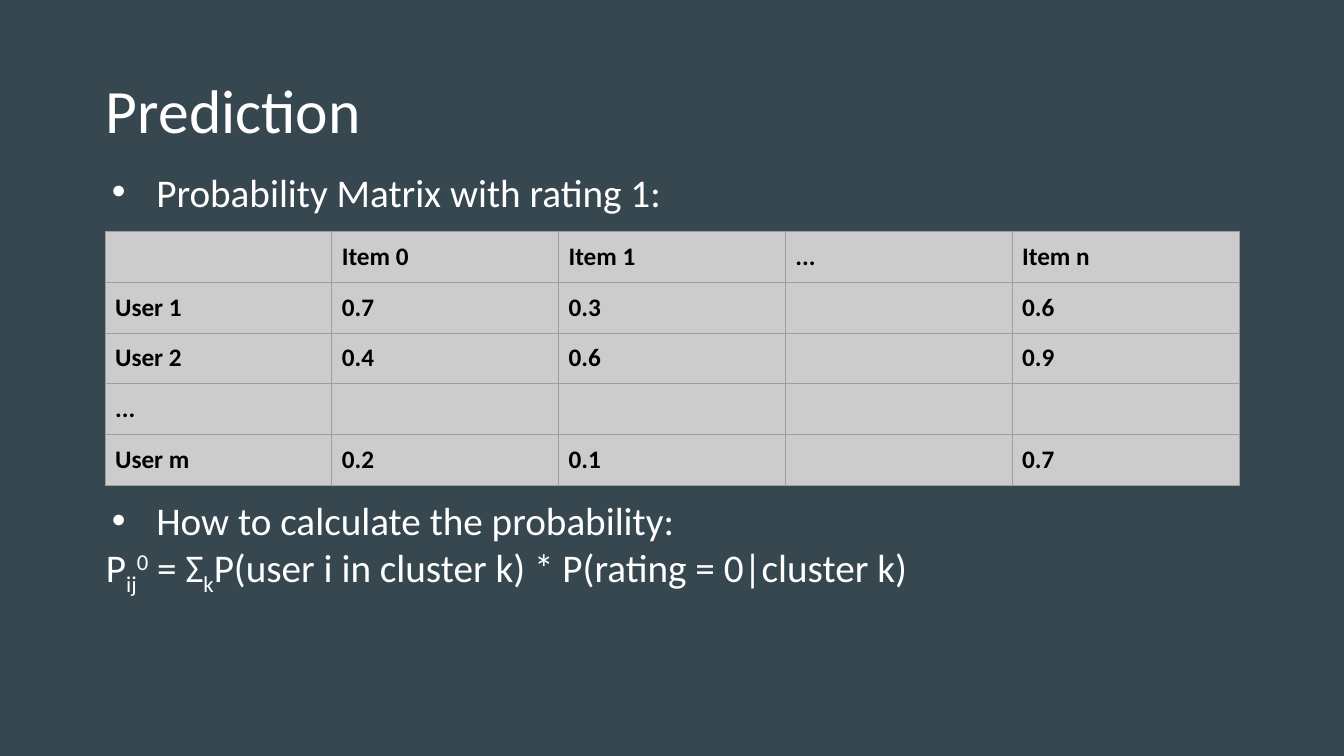
import pptx
import pptx.dml.color
import pptx.enum.text
import pptx.oxml
import pptx.oxml.ns
import pptx.util
from pptx.util import Cm

BACKGROUND = pptx.dml.color.RGBColor(0x37, 0x47, 0x4F)
WHITE = pptx.dml.color.RGBColor(0xFF, 0xFF, 0xFF)
BLACK = pptx.dml.color.RGBColor(0x00, 0x00, 0x00)
CELL_FILL = pptx.dml.color.RGBColor(0xCC, 0xCC, 0xCC)
CELL_BORDER = pptx.dml.color.RGBColor(0x9E, 0x9E, 0x9E)

RATINGS = [
    ["", "Item 0", "Item 1", "...", "Item n"],
    ["User 1", "0.7", "0.3", "", "0.6"],
    ["User 2", "0.4", "0.6", "", "0.9"],
    ["...", "", "", "", ""],
    ["User m", "0.2", "0.1", "", "0.7"],
]
SUBSCRIPT, SUPERSCRIPT = -25000, 30000
FORMULA = [
    ("P", 0),
    ("ij", SUBSCRIPT),
    ("0", SUPERSCRIPT),
    (" = Σ", 0),
    ("k", SUBSCRIPT),
    ("P(user i in cluster k) * P(rating = 0|cluster k)", 0),
]


def xml(markup):
    namespace = pptx.oxml.ns.nsdecls("a")
    return pptx.oxml.parse_xml(markup.replace("NS", namespace, 1))


class SlideBuilder:
    font_name = "Calibri"
    inset = Cm(0.34)

    def __init__(self, slide):
        self.slide = slide
        slide.background.fill.solid()
        slide.background.fill.fore_color.rgb = BACKGROUND

    def format_span(self, span, size, color, bold=False):
        span.font.name = self.font_name
        span.font.size = pptx.util.Pt(size)
        span.font.color.rgb = color
        span.font.bold = bold

    def place(self, box, left, top, width, height, anchor):
        box.left, box.top, box.width, box.height = left, top, width, height
        frame = box.text_frame
        frame.word_wrap = True
        frame.auto_size = pptx.enum.text.MSO_AUTO_SIZE.NONE
        frame.vertical_anchor = anchor
        frame.margin_left = frame.margin_right = self.inset
        frame.margin_top = frame.margin_bottom = self.inset
        return frame

    def title(self, text, left, top, width, height):
        frame = self.place(self.slide.shapes.title, left, top, width, height,
                           pptx.enum.text.MSO_ANCHOR.MIDDLE)
        frame.text = text
        para = frame.paragraphs[0]
        para.alignment = pptx.enum.text.PP_ALIGN.LEFT
        para.line_spacing = 0.9
        self.format_span(para.runs[0], 44, WHITE)

    def body(self, left, top, width, height):
        return self.place(self.slide.placeholders[1], left, top, width, height,
                          pptx.enum.text.MSO_ANCHOR.TOP)

    def paragraph(self, para, spans, space_before=0, bullet=False):
        para.space_before = pptx.util.Pt(space_before)
        properties = para._p.get_or_add_pPr()
        properties.set("marL", str(Cm(1.27) if bullet else 0))
        properties.set("indent", str(Cm(-1.12) if bullet else 0))
        if bullet:
            properties.append(xml(f'<a:buClr NS><a:srgbClr val="{WHITE}"/></a:buClr>'))
            properties.append(xml('<a:buFont NS typeface="Arial"/>'))
            properties.append(xml('<a:buChar NS char="•"/>'))
        else:
            properties.append(xml("<a:buNone NS/>"))
        for text, baseline in spans:
            span = para.add_run()
            span.text = text
            self.format_span(span, 28, WHITE)
            if baseline:
                span.font._element.set("baseline", str(baseline))

    def cell(self, cell, text):
        cell.margin_left = cell.margin_right = Cm(0.25)
        cell.margin_top = cell.margin_bottom = Cm(0.25)
        cell.text = text
        for span in cell.text_frame.paragraphs[0].runs:
            self.format_span(span, 18, BLACK, bold=True)
        properties = cell._tc.get_or_add_tcPr()
        for side in ("lnL", "lnR", "lnT", "lnB"):
            properties.append(xml(
                f'<a:{side} NS w="{pptx.util.Pt(0.75)}"><a:solidFill>'
                f'<a:srgbClr val="{CELL_BORDER}"/></a:solidFill></a:{side}>'))
        cell.fill.solid()
        cell.fill.fore_color.rgb = CELL_FILL

    def table(self, rows, left, top, column_width, row_height):
        table = self.slide.shapes.add_table(
            len(rows), len(rows[0]), left, top,
            column_width * len(rows[0]), row_height * len(rows)).table
        table.first_row = table.horz_banding = False
        for column in table.columns:
            column.width = column_width
        for row, texts in zip(table.rows, rows):
            row.height = row_height
            for cell, text in zip(row.cells, texts):
                self.cell(cell, text)


deck = pptx.Presentation()
deck.slide_width, deck.slide_height = Cm(33.87), Cm(19.05)
page = SlideBuilder(deck.slides.add_slide(deck.slide_layouts[1]))

page.title("Prediction", Cm(2.33), Cm(1.01), Cm(29.21), Cm(3.68))
frame = page.body(Cm(2.33), Cm(3.89), Cm(29.21), Cm(13.26))
page.paragraph(frame.paragraphs[0], [("Probability Matrix with rating 1:", 0)], bullet=True)
page.paragraph(frame.add_paragraph(), [("How to calculate the probability:", 0)],
               space_before=201, bullet=True)
page.paragraph(frame.add_paragraph(), FORMULA)
page.table(RATINGS, Cm(2.65), Cm(5.83), Cm(5.715), Cm(1.28))

deck.save("out.pptx")
